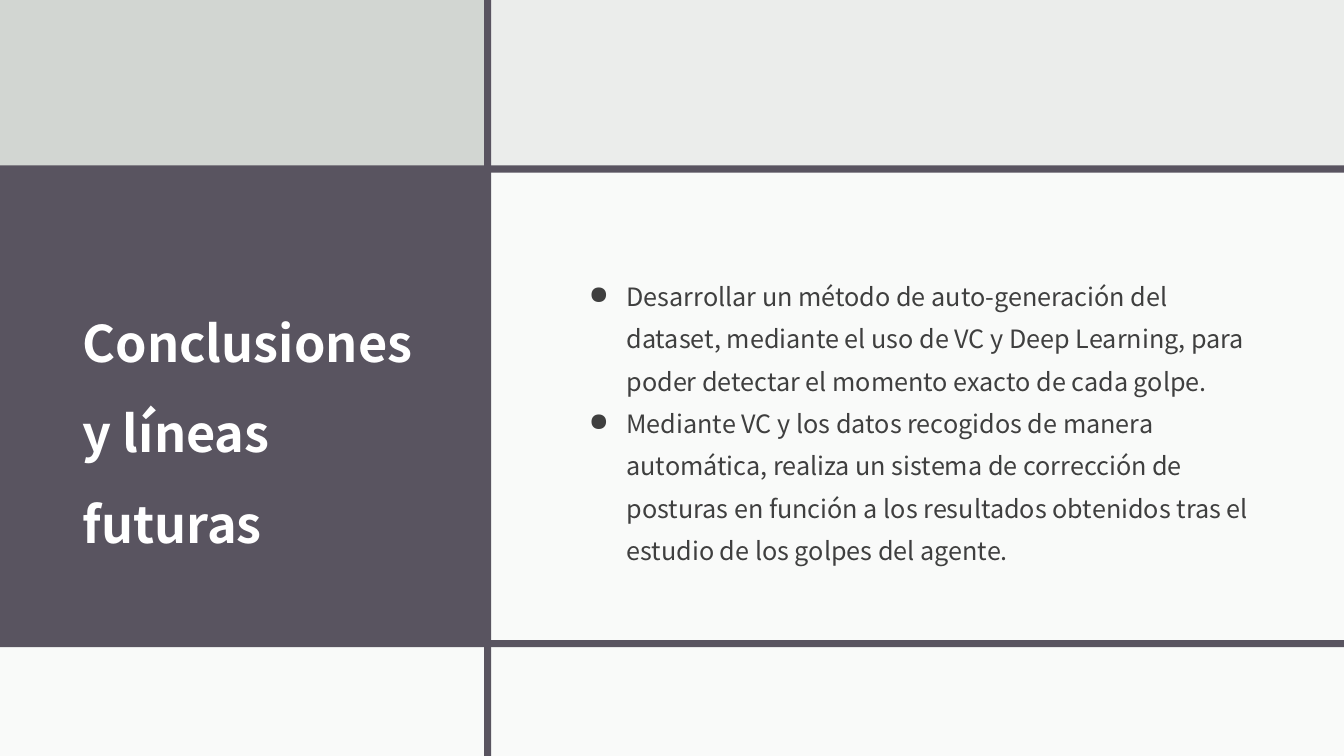
from lxml.etree import SubElement
from pptx import Presentation
from pptx.dml.color import RGBColor
from pptx.enum.shapes import MSO_SHAPE as Preset
from pptx.enum.text import MSO_ANCHOR as Anchor
from pptx.oxml.ns import qn
from pptx.util import Cm, Pt

WIDTH, HEIGHT = 33.87, 19.05
MIST = RGBColor(0xEB, 0xED, 0xEB)
SAGE = RGBColor(0xD2, 0xD6, 0xD2)
PLUM = RGBColor(0x59, 0x54, 0x60)
WHITE = RGBColor(0xFF, 0xFF, 0xFF)
INK = RGBColor(0x3F, 0x3F, 0x3F)

TITLE = "Conclusiones y líneas futuras"
FUTURE_LINES = [
    "Desarrollar un método de auto-generación del dataset, mediante el uso de VC y "
    "Deep Learning, para poder detectar el momento exacto de cada golpe.",
    "Mediante VC y los datos recogidos de manera automática, realiza un sistema de "
    "corrección de posturas en función a los resultados obtenidos tras el estudio de "
    "los golpes del agente.",
]


class SlideBuilder:
    """Holds the style and the current slide, and draws its elements."""

    font_name = "Noto Sans CJK JP"
    rule_width = 0.18

    def __init__(self, slide, background):
        self.slide = slide
        slide.background.fill.solid()
        slide.background.fill.fore_color.rgb = background

    def panel(self, left, top, width, height, color, opacity=100):
        panel = self.slide.shapes.add_shape(
            Preset.RECTANGLE, Cm(left), Cm(top), Cm(width), Cm(height))
        panel.shadow.inherit = False
        panel.line.fill.background()
        panel.fill.solid()
        panel.fill.fore_color.rgb = color
        if opacity < 100:
            tint = panel.fill._xPr.find(f"{qn('a:solidFill')}/{qn('a:srgbClr')}")
            SubElement(tint, qn("a:alpha"), val=str(opacity * 1000))

    def horizontal_rule(self, top):
        self.panel(0, top, WIDTH, self.rule_width, PLUM)

    def vertical_rule(self, left):
        self.panel(left, 0, self.rule_width, HEIGHT, PLUM)

    def bullet(self, paragraph, color):
        properties = paragraph._p.get_or_add_pPr()
        properties.set("marL", str(Cm(1.27)))
        properties.set("indent", str(Cm(-0.95)))
        bullet_color = SubElement(properties, qn("a:buClr"))
        SubElement(bullet_color, qn("a:srgbClr"), val=str(color))
        SubElement(properties, qn("a:buChar"), char="●")

    def text(self, paragraphs, *, left, top, width, height, size, color,
             spacing, bold=False, bulleted=False):
        frame = self.slide.shapes.add_textbox(
            Cm(left), Cm(top), Cm(width), Cm(height)).text_frame
        frame.word_wrap = True
        frame.vertical_anchor = Anchor.MIDDLE
        frame.margin_left = frame.margin_top = frame.margin_right = Cm(0.3)
        frame.margin_bottom = Cm(0.25)
        frame.text = "\n".join(paragraphs)
        for paragraph in frame.paragraphs:
            if bulleted:
                self.bullet(paragraph, color)
            paragraph.line_spacing = spacing
            font = paragraph.runs[0].font
            font.name, font.size, font.bold = self.font_name, Pt(size), bold
            font.color.rgb = color


def main():
    deck = Presentation()
    deck.slide_width, deck.slide_height = Cm(WIDTH), Cm(HEIGHT)
    builder = SlideBuilder(deck.slides.add_slide(deck.slide_layouts[6]), MIST)

    column, header, footer = 12.29, 4.22, 16.28
    builder.panel(0, header, column, footer - header, PLUM)
    builder.panel(0, 0, column, header, SAGE)
    builder.panel(column, header, WIDTH - column, footer - header, WHITE, opacity=75)
    builder.panel(0, footer, WIDTH, HEIGHT - footer, WHITE, opacity=75)
    builder.horizontal_rule(4.17)
    builder.horizontal_rule(16.13)
    builder.vertical_rule(12.2)

    text_band = dict(top=5.44, height=10.11)
    builder.text([TITLE], left=1.78, width=9.47, size=36, color=WHITE,
                 spacing=1.5, bold=True, **text_band)
    builder.text(FUTURE_LINES, left=14.22, width=17.86, size=18, color=INK,
                 spacing=1.4, bulleted=True, **text_band)

    deck.save("out.pptx")


if __name__ == "__main__":
    main()
